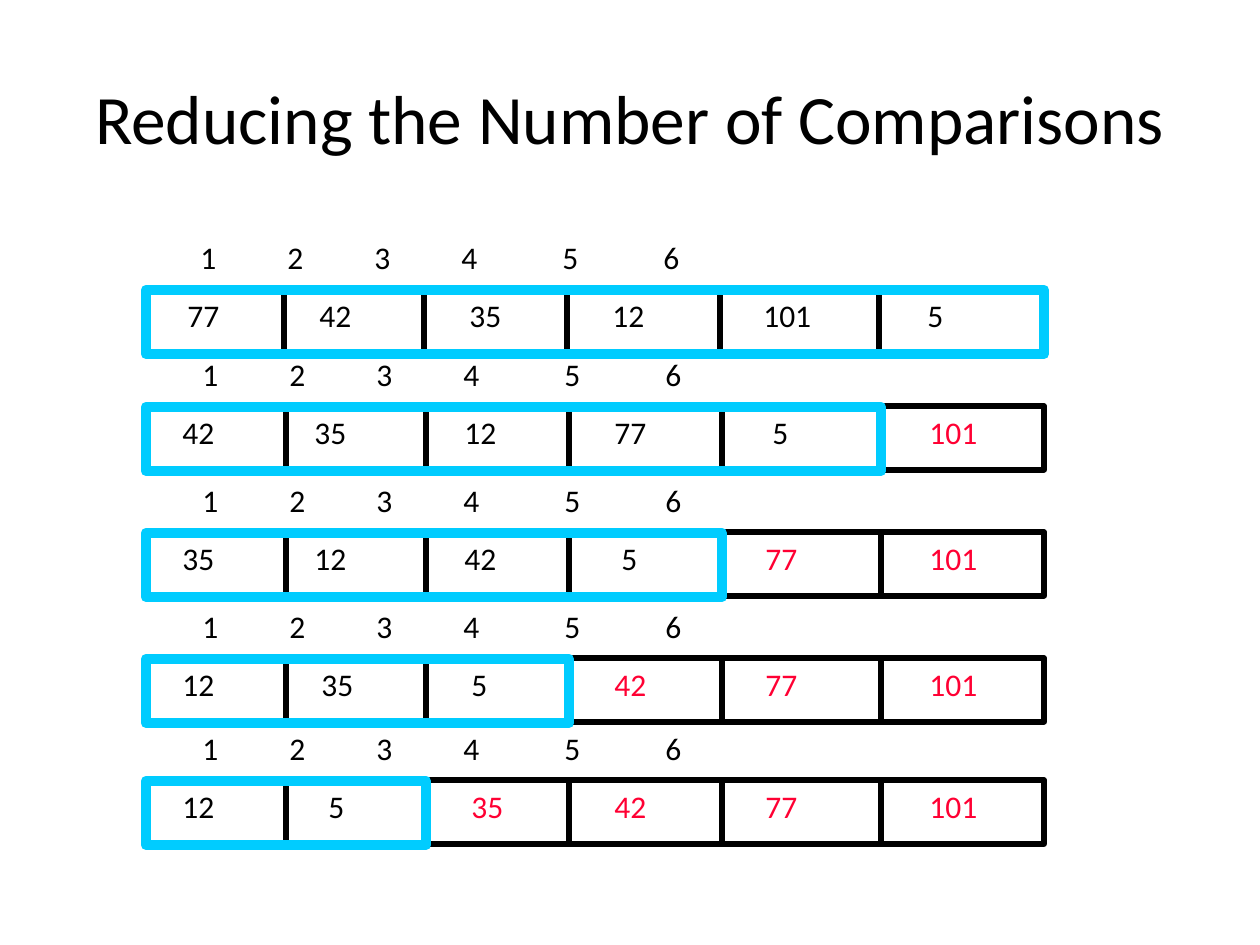
from lxml import etree
from pptx import Presentation
from pptx.dml.color import RGBColor
from pptx.enum.shapes import MSO_CONNECTOR, MSO_SHAPE
from pptx.enum.text import MSO_ANCHOR, PP_ALIGN
from pptx.oxml.ns import qn
from pptx.util import Emu, Pt

STRAIGHT = MSO_CONNECTOR.STRAIGHT
RECTANGLE = MSO_SHAPE.RECTANGLE
LEFT, CENTER = PP_ALIGN.LEFT, PP_ALIGN.CENTER
TOP, MIDDLE = MSO_ANCHOR.TOP, MSO_ANCHOR.MIDDLE

EMU_PER_PX = 914400 / 126
COLORS = {"ink": "000000", "active": "00CCFF", "sorted": "FF0033"}

ARRAY_LEFT, ARRAY_RIGHT, ARRAY_HEIGHT = 146, 1044, 64
DIVIDERS = [286, 426, 569, 722, 881]
VALUE_LEFTS = [170, 302, 452, 602, 746, 910]
INDEX_LEFT, INDEX_WIDTH, INDEX_RISE = 190, 790, 57
INDEX_TABS = [87, 174, 261, 362, 463]
TEXT_HEIGHT, INDENT = 63, 7

# Each pass: top, sideways offset, active cells, (value, indent steps) per cell.
PASSES = [
    (289, -2, 6, [("77", 1), ("42", 1), ("35", 1), ("12", 0), ("101", 1), ("5", 1)]),
    (406, 0, 5, [("42", 0), ("35", 0), ("12", 0), ("77", 0), ("5", 2), ("101", 1)]),
    (532, 0, 4, [("35", 0), ("12", 0), ("42", 0), ("5", 1), ("77", 1), ("101", 1)]),
    (658, 0, 3, [("12", 0), ("35", 1), ("5", 1), ("42", 0), ("77", 1), ("101", 1)]),
    (780, 0, 2, [("12", 0), ("5", 2), ("35", 1), ("42", 0), ("77", 1), ("101", 1)]),
]


def px(length):
    return Emu(round(length * EMU_PER_PX))


def rgb(name):
    return RGBColor.from_string(COLORS[name])


def write(holder, text, size=18, color="ink", align=LEFT, anchor=TOP):
    frame = holder.text_frame
    frame.word_wrap = True
    frame.vertical_anchor = anchor
    paragraph = frame.paragraphs[0]
    paragraph.alignment = align
    run = paragraph.add_run()
    run.text = text
    run.font.name = "Calibri"
    run.font.size = Pt(size)
    run.font.color.rgb = rgb(color)
    return paragraph


def add_label(slide, left, top, width, text, **text_format):
    label = slide.shapes.add_textbox(px(left), px(top), px(width), px(TEXT_HEIGHT))
    return write(label, text, **text_format)


def add_indices(slide, left, top):
    indices = add_label(slide, left, top, INDEX_WIDTH, "\t".join("123456"))
    tab_list = etree.SubElement(indices._p.get_or_add_pPr(), qn("a:tabLst"))
    for position in INDEX_TABS:
        etree.SubElement(tab_list, qn("a:tab"), pos=str(px(position)), algn="l")


def add_outline(slide, left, top, right, color, weight):
    outline = slide.shapes.add_shape(
        RECTANGLE, px(left), px(top), px(right - left), px(ARRAY_HEIGHT))
    outline.shadow.inherit = False
    outline.fill.background()
    outline.line.color.rgb = rgb(color)
    outline.line.width = Pt(weight)


def add_divider(slide, x, top):
    divider = slide.shapes.add_connector(
        STRAIGHT, px(x), px(top), px(x), px(top + ARRAY_HEIGHT))
    divider.line.color.rgb = rgb("ink")
    divider.line.width = Pt(3)
    etree.SubElement(divider._element.spPr, qn("a:effectLst"))


def add_pass(slide, top, offset, active, cells):
    add_outline(slide, ARRAY_LEFT, top, ARRAY_RIGHT, "ink", 3)
    for x in DIVIDERS:
        add_divider(slide, x + offset, top)
    for column, (value, steps) in enumerate(cells):
        add_label(slide, VALUE_LEFTS[column] + offset + steps * INDENT, top + 1,
                  36 + 18 * len(value), value,
                  color="ink" if column < active else "sorted")
    add_indices(slide, INDEX_LEFT + offset, top - INDEX_RISE)
    active_right = (DIVIDERS + [ARRAY_RIGHT])[active - 1]
    add_outline(slide, ARRAY_LEFT, top + 1, active_right, "active", 6)


def main():
    presentation = Presentation()
    presentation.slide_width, presentation.slide_height = px(1260), px(945)
    slide = presentation.slides.add_slide(presentation.slide_layouts[5])
    title = slide.shapes.title
    title.left, title.top, title.width, title.height = map(px, (63, 38, 1134, 158))
    write(title, "Reducing the Number of Comparisons",
          size=39.6, align=CENTER, anchor=MIDDLE)
    for sorting_pass in PASSES:
        add_pass(slide, *sorting_pass)
    presentation.save("out.pptx")


if __name__ == "__main__":
    main()
